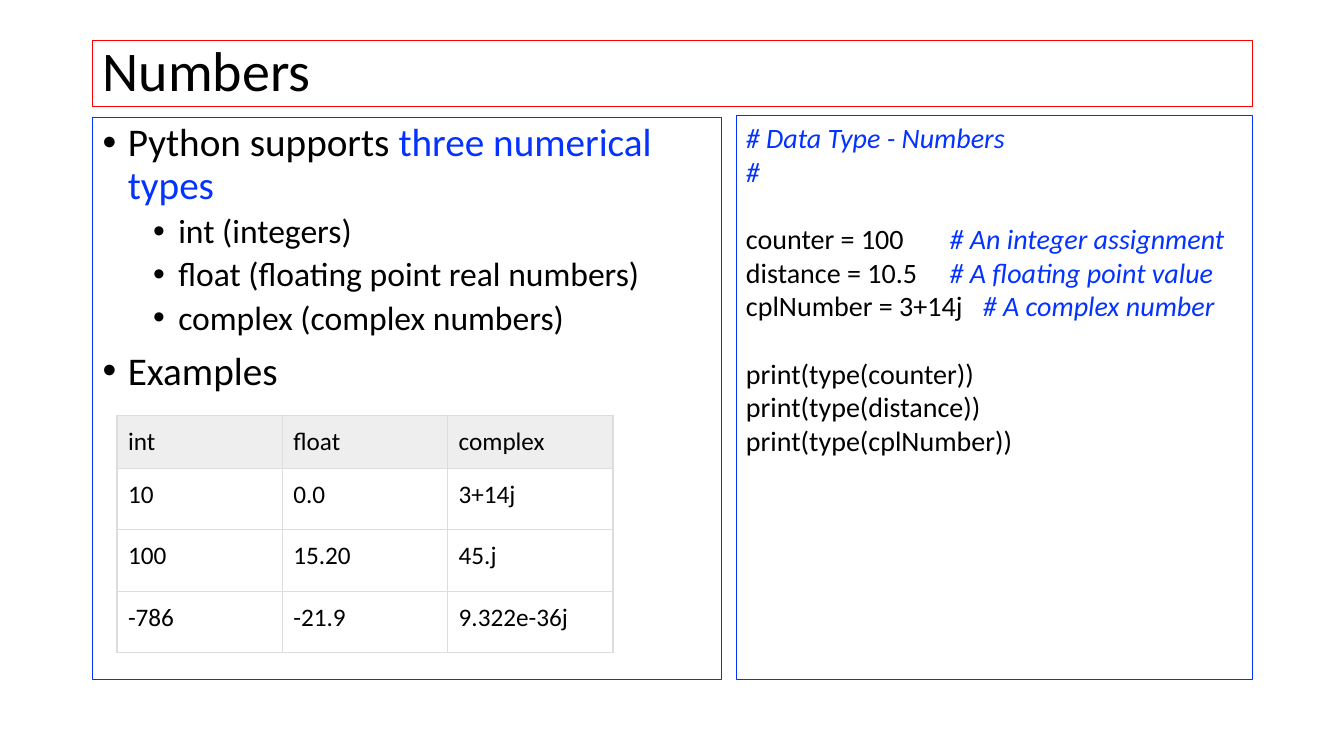
from lxml.etree import SubElement
from pptx import Presentation
from pptx.dml.color import RGBColor
from pptx.enum.shapes import MSO_SHAPE as Shape
from pptx.enum.text import MSO_ANCHOR as Anchor, PP_ALIGN as Align
from pptx.oxml.ns import qn
from pptx.util import Inches, Pt

# Content
FONT = "Calibri"
BLACK, BLUE, RED = "000000", "0432FF", "FF0000"
HEADER_FILL, GRID = "EEEEEE", "DDDDDD"

title = "Numbers"
# (level, [(text, colour), ...])
points = [
    (0, [("Python supports ", BLACK), ("three numerical types", BLUE)]),
    (1, [("int (integers)", BLACK)]),
    (1, [("float (floating point real numbers)", BLACK)]),
    (1, [("complex (complex numbers)", BLACK)]),
    (0, [("Examples", BLACK)]),
]
# Per level: size, space before, left indent
levels = [(28, 10, 0.25), (24, 5, 0.75)]
examples = [
    ("int", "float", "complex"),
    ("10", "0.0", "3+14j"),
    ("100", "15.20", "45.j"),
    ("-786", "-21.9", "9.322e-36j"),
]
# (code, comment, comment tab in inches, gap above in points)
code_lines = [
    ("", "# Data Type - Numbers", None, 0),
    ("", "#", None, 0),
    ("counter = 100", "# An integer assignment", 2.02, 24),
    ("distance = 10.5", "# A floating point value", 2.02, 0),
    ("cplNumber = 3+14j", "# A complex number", 2.35, 0),
    ("print(type(counter))", "", None, 24),
    ("print(type(distance))", "", None, 0),
    ("print(type(cplNumber))", "", None, 0),
]

# Layout in inches
LEFT, RIGHT, BOTTOM = 0.92, 12.42, 6.74
POINTS_TOP, CODE_LEFT, CODE_TOP = 1.17, 7.3, 1.15
COLUMN, HEADER_ROW, ROW = 1.64, 0.52, 0.61


def rgb(colour):
    return RGBColor.from_string(colour)


def set_font(font, size, colour=BLACK):
    font.name, font.size = FONT, Pt(size)
    font.color.rgb = rgb(colour)


def add_run(paragraph, text, colour, italic=False):
    run = paragraph.add_run()
    run.text = text
    run.font.color.rgb = rgb(colour)
    run.font.italic = italic


def add_frame(left, top, width, height, outline, anchor=Anchor.TOP):
    frame = slide.shapes.add_shape(
        Shape.RECTANGLE, Inches(left), Inches(top), Inches(width), Inches(height))
    frame.shadow.inherit = False
    frame.fill.background()
    frame.line.color.rgb = rgb(outline)
    frame.line.width = Pt(0.75)
    text = frame.text_frame
    text.word_wrap = True
    text.vertical_anchor = anchor
    return text


def next_paragraph(text, index):
    paragraph = text.add_paragraph() if index else text.paragraphs[0]
    paragraph.alignment = Align.LEFT
    return paragraph


def add_bullet(paragraph, indent):
    properties = paragraph._p.get_or_add_pPr()
    properties.set("marL", str(Inches(indent)))
    properties.set("indent", str(-Inches(0.25)))
    SubElement(properties, qn("a:buFont"), typeface="Arial")
    SubElement(properties, qn("a:buChar"), char="•")


def add_tab(paragraph, position):
    stops = SubElement(paragraph._p.get_or_add_pPr(), qn("a:tabLst"))
    SubElement(stops, qn("a:tab"), pos=str(Inches(position)), algn="l")


def add_borders(cell):
    properties = cell._tc.get_or_add_tcPr()
    for place, side in enumerate(("a:lnL", "a:lnR", "a:lnT", "a:lnB")):
        border = SubElement(properties, qn(side), w=str(Pt(1)))
        fill = SubElement(border, qn("a:solidFill"))
        SubElement(fill, qn("a:srgbClr"), val=GRID)
        properties.insert(place, border)


prs = Presentation()
prs.slide_width, prs.slide_height = Inches(13.33), Inches(7.5)
slide = prs.slides.add_slide(prs.slide_layouts[6])

# Title
heading = next_paragraph(
    add_frame(LEFT, 0.4, RIGHT - LEFT, 0.66, RED, Anchor.MIDDLE), 0)
heading.text = title
heading.line_spacing = 0.9
set_font(heading.font, 40)

# Bullet points
points_text = add_frame(LEFT, POINTS_TOP, 6.24, BOTTOM - POINTS_TOP, BLUE)
for index, (level, parts) in enumerate(points):
    size, space, indent = levels[level]
    point = next_paragraph(points_text, index)
    point.level = level
    point.line_spacing = 0.9
    point.space_before = Pt(space)
    set_font(point.font, size)
    add_bullet(point, indent)
    for part, colour in parts:
        add_run(point, part, colour)

# Table of examples
row_heights = [HEADER_ROW] + [ROW] * (len(examples) - 1)
columns = len(examples[0])
table = slide.shapes.add_table(
    len(examples), columns, Inches(1.16), Inches(4.12),
    Inches(COLUMN * columns), Inches(sum(row_heights))).table
table.horz_banding = False
for column in table.columns:
    column.width = Inches(COLUMN)
for r, (values, height) in enumerate(zip(examples, row_heights)):
    table.rows[r].height = Inches(height)
    for c, value in enumerate(values):
        cell = table.cell(r, c)
        cell.margin_left = cell.margin_right = Inches(0.11)
        cell.margin_top = cell.margin_bottom = Inches(0.11)
        if r == 0:
            cell.fill.solid()
            cell.fill.fore_color.rgb = rgb(HEADER_FILL)
        else:
            cell.fill.background()
        add_borders(cell)
        entry = cell.text_frame.paragraphs[0]
        entry.text = value
        set_font(entry.font, 18)
        entry.font.bold = False

# Code sample
code_text = add_frame(
    CODE_LEFT, CODE_TOP, RIGHT - CODE_LEFT, BOTTOM - CODE_TOP, BLUE)
for index, (code, comment, tab, gap) in enumerate(code_lines):
    line = next_paragraph(code_text, index)
    line.space_before = Pt(gap)
    if tab:
        add_tab(line, tab)
    set_font(line.font, 20)
    if code:
        add_run(line, code + ("\t" if comment else ""), BLACK)
    if comment:
        add_run(line, comment, BLUE, italic=True)

prs.save("out.pptx")
